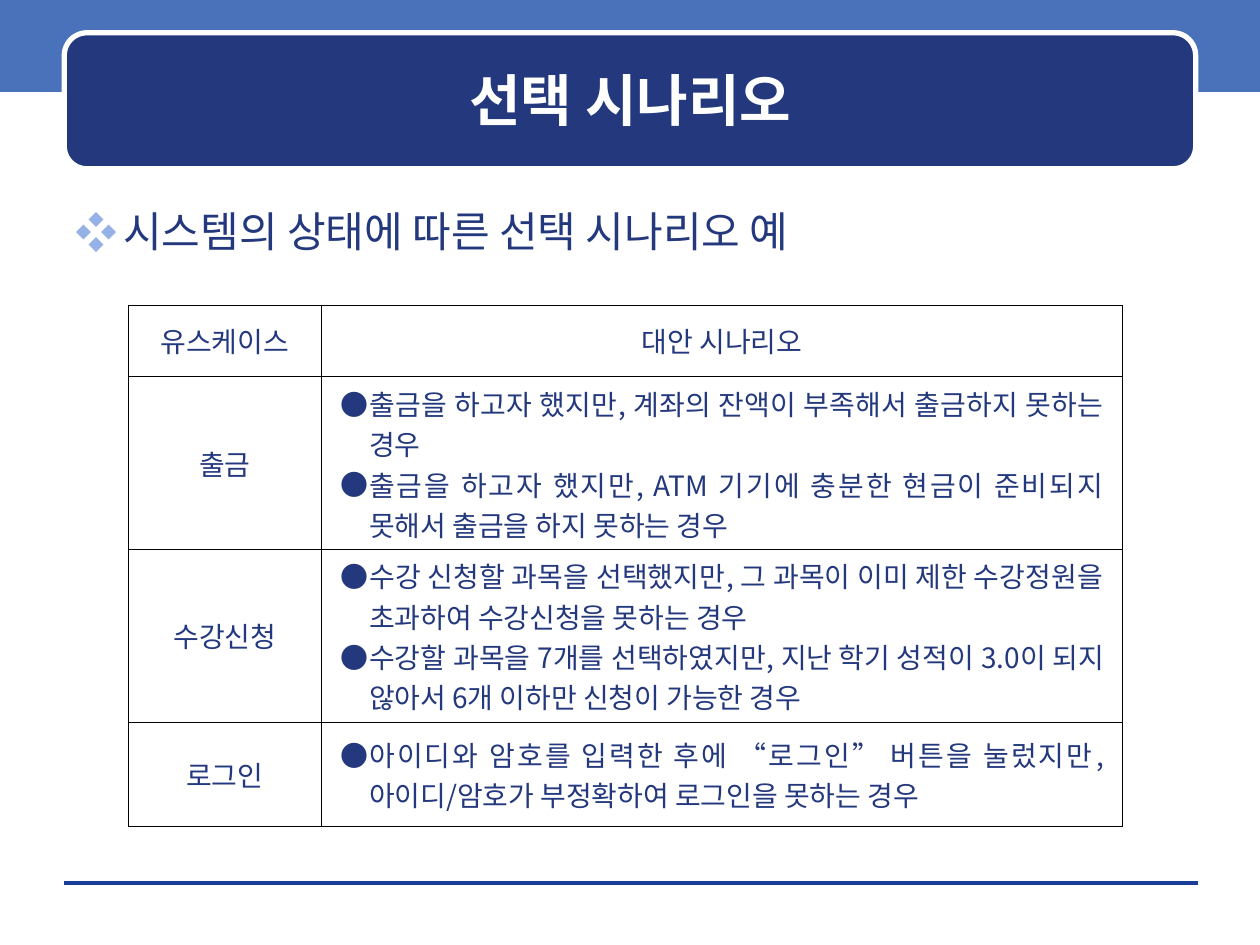
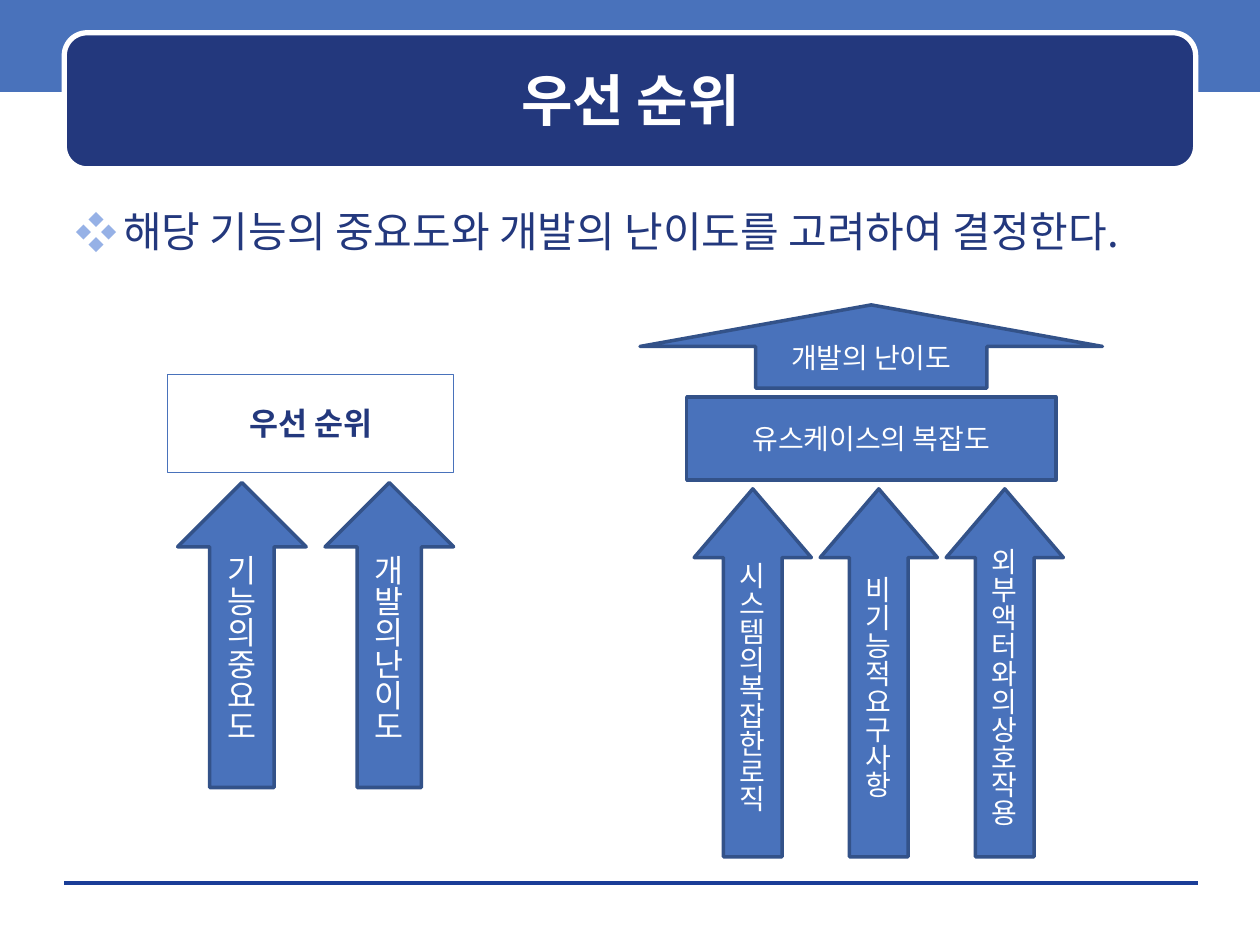
from dataclasses import dataclass
from typing import Optional

from lxml.etree import SubElement
from pptx import Presentation
from pptx.dml.color import RGBColor
from pptx.enum.shapes import MSO_CONNECTOR, MSO_SHAPE as Kind
from pptx.enum.text import MSO_ANCHOR as Anchor, PP_ALIGN as Align
from pptx.oxml import parse_xml
from pptx.oxml.ns import nsdecls, qn
from pptx.util import Inches, Pt

FONT = "Noto Sans CJK KR"
NAVY = RGBColor(0x23, 0x38, 0x7D)
BLUE = RGBColor(0x49, 0x72, 0xBB)
EDGE = RGBColor(0x33, 0x52, 0x89)
RULE = RGBColor(0x1A, 0x3D, 0x97)
PALE = RGBColor(0x96, 0xB1, 0xE6)
WHITE = RGBColor(0xFF, 0xFF, 0xFF)
BLACK = RGBColor(0, 0, 0)

CASES = [
    ("출금", [
        "출금을 하고자 했지만, 계좌의 잔액이 부족해서 출금하지 못하는 경우",
        "출금을 하고자 했지만, ATM 기기에 충분한 현금이 준비되지 못해서 출금을 하지 못하는 경우",
    ]),
    ("수강신청", [
        "수강 신청할 과목을 선택했지만, 그 과목이 이미 제한 수강정원을 초과하여 수강신청을 못하는 경우",
        "수강할 과목을 7개를 선택하였지만, 지난 학기 성적이 3.0이 되지 않아서 6개 이하만 신청이 가능한 경우",
    ]),
    ("로그인", [
        "아이디와 암호를 입력한 후에 “로그인” 버튼을 눌렀지만, 아이디/암호가 부정확하여 로그인을 못하는 경우",
    ]),
]


@dataclass
class Style:
    size: float
    color: RGBColor
    bold: bool = False
    align: Align = Align.CENTER
    spacing: Optional[float] = None
    bullet: str = ""
    tint: RGBColor = NAVY
    indent: float = 0


@dataclass
class Block:
    kind: Kind
    left: float
    top: float
    width: float
    height: float
    lines: list[str]
    style: Style
    fill: Optional[RGBColor] = BLUE
    edge: RGBColor = EDGE
    weight: float = 2
    adjust: tuple[float, ...] = ()


TITLE = Style(32, WHITE, bold=True)
LEAD = Style(24, NAVY, align=Align.LEFT, bullet="❖", tint=PALE, indent=0.38)
CELL = Style(16, NAVY)
ITEM = Style(16, NAVY, align=Align.JUSTIFY, bullet="●", indent=0.23)
LABEL = Style(16, WHITE)
TALL = Style(16, WHITE, spacing=0.83)
LARGE = Style(18, WHITE, spacing=0.83)
GOAL = Style(18, NAVY, bold=True)


def mark(para, style: Style) -> None:
    """Give the paragraph its hanging bullet."""
    props = para._p.get_or_add_pPr()
    props.set("marL", str(Inches(style.indent)))
    props.set("indent", str(-Inches(style.indent)))
    color = SubElement(props, qn("a:buClr"))
    SubElement(color, qn("a:srgbClr"), val=str(style.tint))
    SubElement(props, qn("a:buFont"), typeface=FONT)
    SubElement(props, qn("a:buChar"), char=style.bullet)


def write(frame, lines: list[str], style: Style) -> None:
    frame.word_wrap = True
    for i, line in enumerate(lines):
        para = frame.add_paragraph() if i else frame.paragraphs[0]
        para.alignment = style.align
        para.space_before = Pt(0)
        if style.spacing:
            para.line_spacing = style.spacing
        if style.bullet:
            mark(para, style)
        run = para.add_run()
        run.text = line
        font = run.font
        font.size, font.bold, font.name = Pt(style.size), style.bold, FONT
        font.color.rgb = style.color
        SubElement(run._r.get_or_add_rPr(), qn("a:ea"), typeface=FONT)


def draw(slide, block: Block) -> None:
    shape = slide.shapes.add_shape(
        block.kind, Inches(block.left), Inches(block.top),
        Inches(block.width), Inches(block.height))
    shape.shadow.inherit = False
    for i, value in enumerate(block.adjust):
        shape.adjustments[i] = value
    if block.fill is None:
        shape.fill.background()
    else:
        shape.fill.solid()
        shape.fill.fore_color.rgb = block.fill
    if block.weight:
        shape.line.color.rgb = block.edge
        shape.line.width = Pt(block.weight)
    else:
        shape.line.fill.background()
    shape.text_frame.vertical_anchor = Anchor.MIDDLE
    write(shape.text_frame, block.lines, block.style)


def start(deck, title: str, lead: str):
    """Add a slide with the shared band, title, rule and lead line."""
    slide = deck.slides.add_slide(deck.slide_layouts[5])
    draw(slide, Block(Kind.RECTANGLE, 0, -0.03, 10, 0.76, [], TITLE, weight=0))
    rule = slide.shapes.add_connector(
        MSO_CONNECTOR.STRAIGHT, Inches(0.51), Inches(7.01),
        Inches(9.51), Inches(7.01))
    rule.line.color.rgb = RULE
    rule.line.width = Pt(0)
    SubElement(rule._element.spPr, qn("a:effectLst"))
    draw(slide, Block(Kind.ROUNDED_RECTANGLE, 0.51, 0.26, 8.98, 1.08, [],
                      TITLE, NAVY, WHITE, 3, (0.167,)))
    head = slide.shapes.title
    head.left, head.top = Inches(0.6), Inches(0.35)
    head.width, head.height = Inches(8.81), Inches(0.88)
    head.text_frame.vertical_anchor = Anchor.MIDDLE
    write(head.text_frame, [title], TITLE)
    head.element.getparent().append(head.element)
    body = slide.shapes.add_textbox(
        Inches(0.5), Inches(1.58), Inches(9), Inches(5.33))
    write(body.text_frame, [lead], LEAD)
    return slide


def border(cell) -> None:
    props = cell._tc.get_or_add_tcPr()
    for i, side in enumerate("LRTB"):
        props.insert(i, parse_xml(
            f'<a:ln{side} {nsdecls("a")} w="{Pt(0.45)}"><a:solidFill>'
            f'<a:srgbClr val="{BLACK}"/></a:solidFill></a:ln{side}>'))


def fill(cell, lines: list[str], style: Style) -> None:
    cell.fill.background()
    cell.vertical_anchor = Anchor.MIDDLE
    cell.margin_left = cell.margin_right = Inches(0.15)
    cell.margin_top = cell.margin_bottom = Inches(0.05)
    write(cell.text_frame, lines, style)
    border(cell)


def scenarios(deck) -> None:
    slide = start(deck, "선택 시나리오", "시스템의 상태에 따른 선택 시나리오 예")
    table = slide.shapes.add_table(
        len(CASES) + 1, 2, Inches(1.02), Inches(2.42),
        Inches(7.89), Inches(4.14)).table
    table.first_row = table.horz_banding = False
    for col, width in zip(table.columns, (1.53, 6.36)):
        col.width = Inches(width)
    for row, height in zip(table.rows, (0.57, 1.37, 1.37, 0.83)):
        row.height = Inches(height)
    fill(table.cell(0, 0), ["유스케이스"], CELL)
    fill(table.cell(0, 1), ["대안 시나리오"], CELL)
    for i, (case, items) in enumerate(CASES, 1):
        fill(table.cell(i, 0), [case], CELL)
        fill(table.cell(i, 1), items, ITEM)


def priority(deck) -> None:
    slide = start(deck, "우선 순위",
                  "해당 기능의 중요도와 개발의 난이도를 고려하여 결정한다.")
    draw(slide, Block(Kind.RECTANGLE, 1.33, 2.97, 2.27, 0.78, ["우선 순위"],
                      GOAL, None, BLUE, 0.75))
    for i, lines in enumerate((["기능의", "중요도"], ["개발의 난이도"])):
        draw(slide, Block(Kind.UP_ARROW, 1.41 + 1.17 * i, 3.83, 1.02, 2.42,
                          lines, LARGE, adjust=(0.5, 0.5)))
    draw(slide, Block(Kind.UP_ARROW, 5.08, 2.42, 3.67, 0.66,
                      ["개발의 난이도"], LABEL, adjust=(0.5, 0.5)))
    draw(slide, Block(Kind.RECTANGLE, 5.45, 3.15, 2.93, 0.66,
                      ["유스케이스의 복잡도"], LABEL))
    causes = "시스템의 복잡한 로직", "비기능적 요구사항", "외부 액터와의 상호작용"
    for i, cause in enumerate(causes):
        draw(slide, Block(Kind.UP_ARROW, 5.51 + i, 3.88, 0.93, 2.92,
                          [cause], TALL, adjust=(0.5, 0.586)))


def main() -> None:
    deck = Presentation()
    deck.slide_width, deck.slide_height = Inches(10), Inches(7.5)
    scenarios(deck)
    priority(deck)
    deck.save("out.pptx")


if __name__ == "__main__":
    main()
